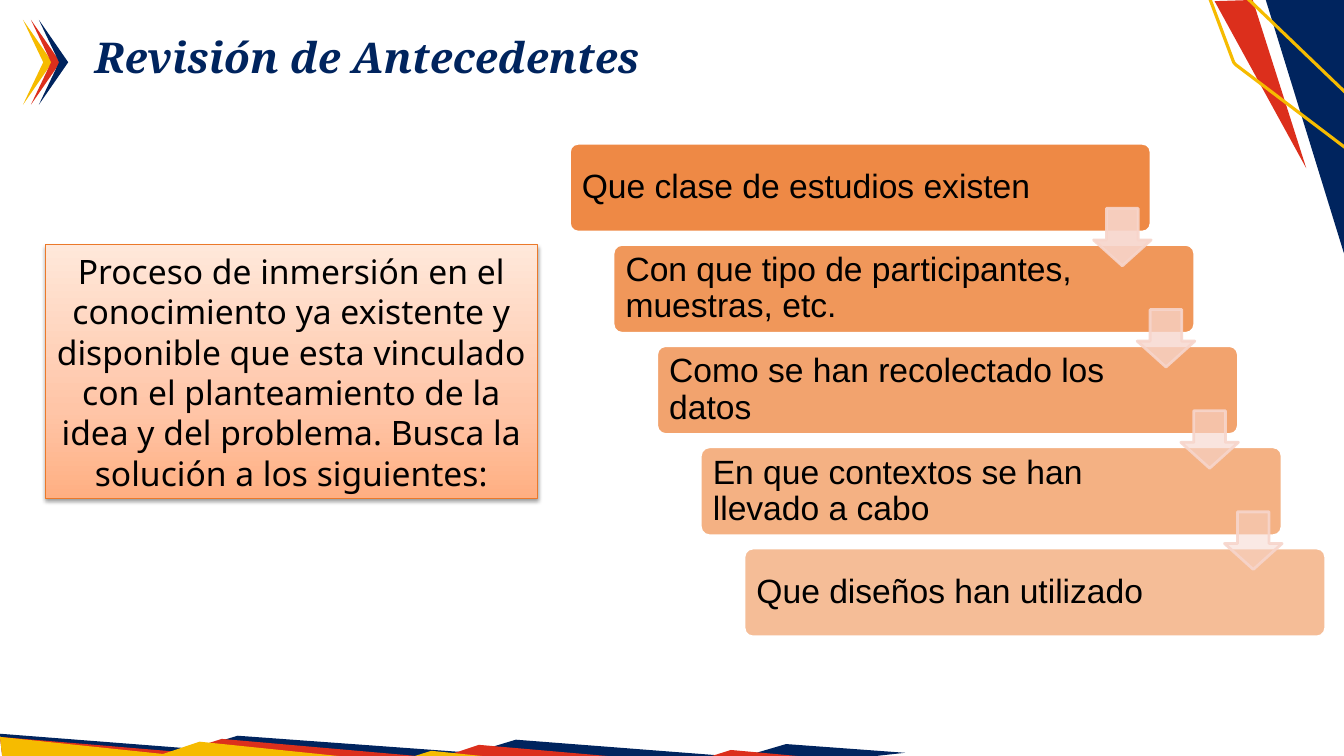
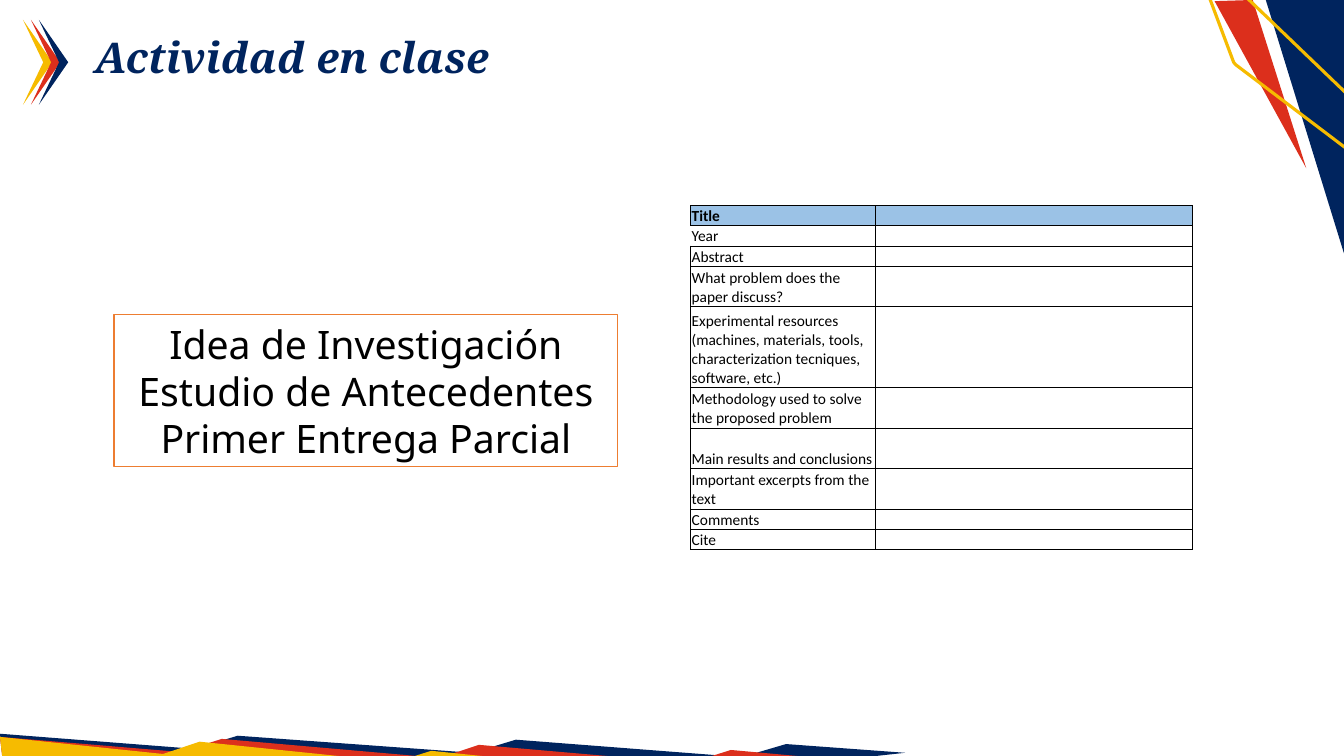
"""Build two class slides: the review of prior work and the class activity."""
from copy import deepcopy
from dataclasses import dataclass

from lxml import etree
from pptx import Presentation
from pptx.dml.color import RGBColor
from pptx.enum.shapes import MSO_SHAPE
from pptx.enum.text import MSO_ANCHOR, MSO_AUTO_SIZE, PP_ALIGN
from pptx.oxml.ns import qn
from pptx.util import Cm, Pt

RECTANGLE, ROUNDED, DOWN_ARROW = MSO_SHAPE.RECTANGLE, MSO_SHAPE.ROUNDED_RECTANGLE, MSO_SHAPE.DOWN_ARROW
TOP, MIDDLE, BOTTOM = MSO_ANCHOR.TOP, MSO_ANCHOR.MIDDLE, MSO_ANCHOR.BOTTOM
LEFT, CENTER = PP_ALIGN.LEFT, PP_ALIGN.CENTER
FIXED_SIZE = MSO_AUTO_SIZE.NONE


@dataclass(frozen=True)
class Theme:
    navy: str = "00245E"
    red: str = "DC2F1C"
    yellow: str = "F6BB00"
    orange: str = "ED7D31"
    border_orange: str = "EB792A"
    pink: str = "F7D5CB"
    header_blue: str = "9BC2E6"
    white: str = "FFFFFF"
    black: str = "000000"
    gradient: tuple = ((0, "FFAF82"), (0.35, "FFC5A7"), (1, "FFE8DA"))
    title_size: float = 30.3
    idea_size: int = 28
    body_size: int = 24
    table_size: int = 11


theme = Theme()

TITLE_FONT = {"name": "Noto Serif", "size": Pt(theme.title_size), "bold": True, "italic": True}
BODY_FONT = {"name": "Noto Sans", "size": Pt(theme.body_size)}
IDEA_FONT = {"name": "Noto Sans", "size": Pt(theme.idea_size)}
STEP_FONT = {"name": "Arial", "size": Pt(theme.body_size)}
TABLE_FONT = {"name": "Calibri", "size": Pt(theme.table_size)}
CELL_FORMAT = {"vertical_anchor": BOTTOM, "margin_left": Cm(0.03), "margin_right": Cm(0.03),
               "margin_top": Cm(0.03), "margin_bottom": Cm(0)}


def paint(shape, fill=None, line=None, width=1, fill_opacity=100, line_opacity=100):
    shape.shadow.inherit = False
    for target, colour in ((shape.fill, fill), (shape.line.fill, line)):
        if colour:
            target.solid()
            target.fore_color.rgb = RGBColor.from_string(colour)
        else:
            target.background()
    if line:
        shape.line.width = Pt(width)
    for parent, opacity in (("", fill_opacity), ("a:ln/", line_opacity)):
        if opacity < 100:
            colour = shape.element.spPr.find(
                f"{parent}a:solidFill/a:srgbClr", {"a": qn("a:x")[1:-2]})
            etree.SubElement(colour, qn("a:alpha"), val=str(opacity * 1000))


def write(frame, text, font, colour=theme.black, align=LEFT, spacing=None, **frame_format):
    frame.text = text
    for name, value in {"word_wrap": True, **frame_format}.items():
        setattr(frame, name, value)
    for para in frame.paragraphs:
        para.alignment = align
        para.line_spacing = spacing
        for span in para.runs:
            span.font.color.rgb = RGBColor.from_string(colour)
            for name, value in font.items():
                setattr(span.font, name, value)


deck = Presentation()
deck.slide_width, deck.slide_height = Cm(33.87), Cm(19.05)
layout = deck.slide_layouts[5]
for placeholder in list(layout.placeholders)[1:]:
    layout.shapes.element.remove(placeholder.element)

pages = []
for title in ("Revisión de Antecedentes", "Actividad en clase"):
    page = deck.slides.add_slide(layout)
    heading = page.shapes.title
    heading.left, heading.top, heading.width, heading.height = Cm(2.13), Cm(0.81), Cm(25.81), Cm(2.59)
    write(heading.text_frame, title, TITLE_FONT, theme.navy, spacing=0.9,
          vertical_anchor=TOP, auto_size=FIXED_SIZE)
    pages.append(page)
review, activity = pages

decorations = [
    (theme.navy, None, [(33.91, 0), (33.93, 6.58), (31.9, 0)]),
    (theme.red, None, [(31.57, 0), (32.92, 4.24), (30.61, 0.03)]),
    (None, theme.yellow, [(29.95, -1.47), (37.06, 5.36), (35.41, 4.85), (34.93, 4.5),
                          (31.14, 1.63), (31.09, 1.57)]),
    (theme.navy, None, [(0.33, 21.44), (22.81, 18.97), (19.81, 18.75), (18.69, 19.08), (13, 18.64),
                        (11.91, 18.97), (5.99, 18.54), (4.9, 18.87), (0, 18.49)]),
    (theme.red, None, [(0.33, 21.44), (21.18, 19.15), (18.42, 18.9), (17.37, 19.23), (12.07, 18.77),
                       (11.07, 19.1), (5.59, 18.62), (4.55, 18.95), (0, 18.57)]),
    (theme.yellow, None, [(0.33, 21.44), (19.08, 19.38), (16.56, 19.1), (15.65, 19.41), (10.87, 18.92),
                          (9.98, 19.2), (5.03, 18.69), (4.11, 19), (0, 18.57)]),
]
for index, colour in enumerate((theme.yellow, theme.red, theme.navy)):
    shift = 0.2 * index
    decorations.append((colour, None, [(0.58 + shift, 0.5), (1.32 + shift, 1.57),
                                       (0.58 + shift, 2.64), (1.09 + shift, 1.57)]))

for fill, line, points in decorations:
    start, *others = [(Cm(x), Cm(y)) for x, y in points]
    builder = review.shapes.build_freeform(*start)
    builder.add_line_segments(others, close=True)
    decoration = builder.convert_to_shape()
    paint(decoration, fill, line, 2.25)
    layout.shapes.element.append(decoration.element)

process = review.shapes.add_shape(RECTANGLE, Cm(1.14), Cm(6.17), Cm(12.4), Cm(6.4))
paint(process, theme.white, theme.border_orange, 0.75)
process.fill.gradient()
process.fill.gradient_angle = 90
stop_list = process.element.spPr.find(".//" + qn("a:gsLst"))
stop_list.append(deepcopy(stop_list[0]))
for stop, (position, colour) in zip(process.fill.gradient_stops, theme.gradient):
    stop.position = position
    stop.color.rgb = RGBColor.from_string(colour)
shadow = etree.SubElement(process.element.spPr.find(qn("a:effectLst")), qn("a:outerShdw"),
                          blurRad=str(Pt(3.1)), dist=str(Pt(1.6)), dir="5400000", rotWithShape="0")
shadow_colour = etree.SubElement(shadow, qn("a:srgbClr"), val=theme.black)
etree.SubElement(shadow_colour, qn("a:alpha"), val="38000")
write(process.text_frame,
      "Proceso de inmersión en el conocimiento ya existente y disponible que esta vinculado "
      "con el planteamiento de la idea y del problema. Busca la solución a los siguientes:",
      BODY_FONT, align=CENTER, vertical_anchor=MIDDLE)

questions = (
    "Que clase de estudios existen",
    "Con que tipo de participantes, muestras, etc.",
    "Como se han recolectado los datos",
    "En que contextos se han llevado a cabo",
    "Que diseños han utilizado",
)
STEP_X, STEP_Y = 1.1, 2.55
for index, question in enumerate(questions):
    box = review.shapes.add_shape(ROUNDED, Cm(14.35 + STEP_X * index), Cm(3.61 + STEP_Y * index),
                                  Cm(14.66), Cm(2.24))
    box.adjustments[0] = 0.1
    paint(box, theme.orange, theme.white, 2, fill_opacity=90 - 10 * index)
    write(box.text_frame, question, STEP_FONT, spacing=0.9, vertical_anchor=MIDDLE,
          margin_left=Cm(0.25), margin_right=Cm(2.78))

for index, opacity in enumerate((90, 77, 63, 50)):
    arrow = review.shapes.add_shape(DOWN_ARROW, Cm(27.56 + STEP_X * index), Cm(5.25 + STEP_Y * index),
                                    Cm(1.45), Cm(1.45))
    arrow.adjustments[0], arrow.adjustments[1] = 0.55, 0.45
    paint(arrow, theme.pink, theme.pink, 2, fill_opacity=opacity, line_opacity=90)

idea = activity.shapes.add_shape(RECTANGLE, Cm(2.87), Cm(7.92), Cm(12.7), Cm(3.84))
paint(idea, theme.white, theme.orange)
write(idea.text_frame, "Idea de Investigación\nEstudio de Antecedentes\nPrimer Entrega Parcial",
      IDEA_FONT, align=CENTER, vertical_anchor=MIDDLE)

fields = (
    ("Title", 1),
    ("Year", 1),
    ("Abstract", 1),
    ("What problem does the paper discuss?", 2),
    ("Experimental resources (machines, materials, tools, characterization tecniques, software, etc.)", 4),
    ("Methodology used to solve the proposed problem", 2),
    ("Main results and conclusions", 2),
    ("Important excerpts from the text", 2),
    ("Comments", 1),
    ("Cite", 1),
)
LINE_HEIGHT = 0.51
line_count = sum(lines for _, lines in fields)
table_frame = activity.shapes.add_table(len(fields), 2, Cm(17.4), Cm(5.18), Cm(12.65),
                                        Cm(LINE_HEIGHT * line_count))
table = table_frame.table
table.first_row = table.horz_banding = False
for column, width in zip(table.columns, (4.65, 8)):
    column.width = Cm(width)
for row, (label, lines) in zip(table.rows, fields):
    row.height = Cm(LINE_HEIGHT * lines)
    is_header = label == "Title"
    write(row.cells[0].text_frame, label, {**TABLE_FONT, "bold": is_header})
    for cell in row.cells:
        for name, value in CELL_FORMAT.items():
            setattr(cell, name, value)
        if is_header:
            cell.fill.solid()
            cell.fill.fore_color.rgb = RGBColor.from_string(theme.header_blue)
        else:
            cell.fill.background()

for index, cell_xml in enumerate(table_frame.element.iter(qn("a:tc"))):
    is_year = index == 2
    for order, edge in enumerate(("lnL", "lnR", "lnT", "lnB")):
        border = etree.Element(qn(f"a:{edge}"), w=str(Pt(0.5)))
        if is_year and edge == "lnL":
            etree.SubElement(border, qn("a:noFill"))
        else:
            border_fill = etree.SubElement(border, qn("a:solidFill"))
            etree.SubElement(border_fill, qn("a:srgbClr"), val=theme.black)
        cell_xml.get_or_add_tcPr().insert(order, border)
for para_xml in table_frame.element.iter(qn("a:p")):
    etree.SubElement(para_xml, qn("a:endParaRPr"), sz=str(theme.table_size * 100))

deck.save("out.pptx")
